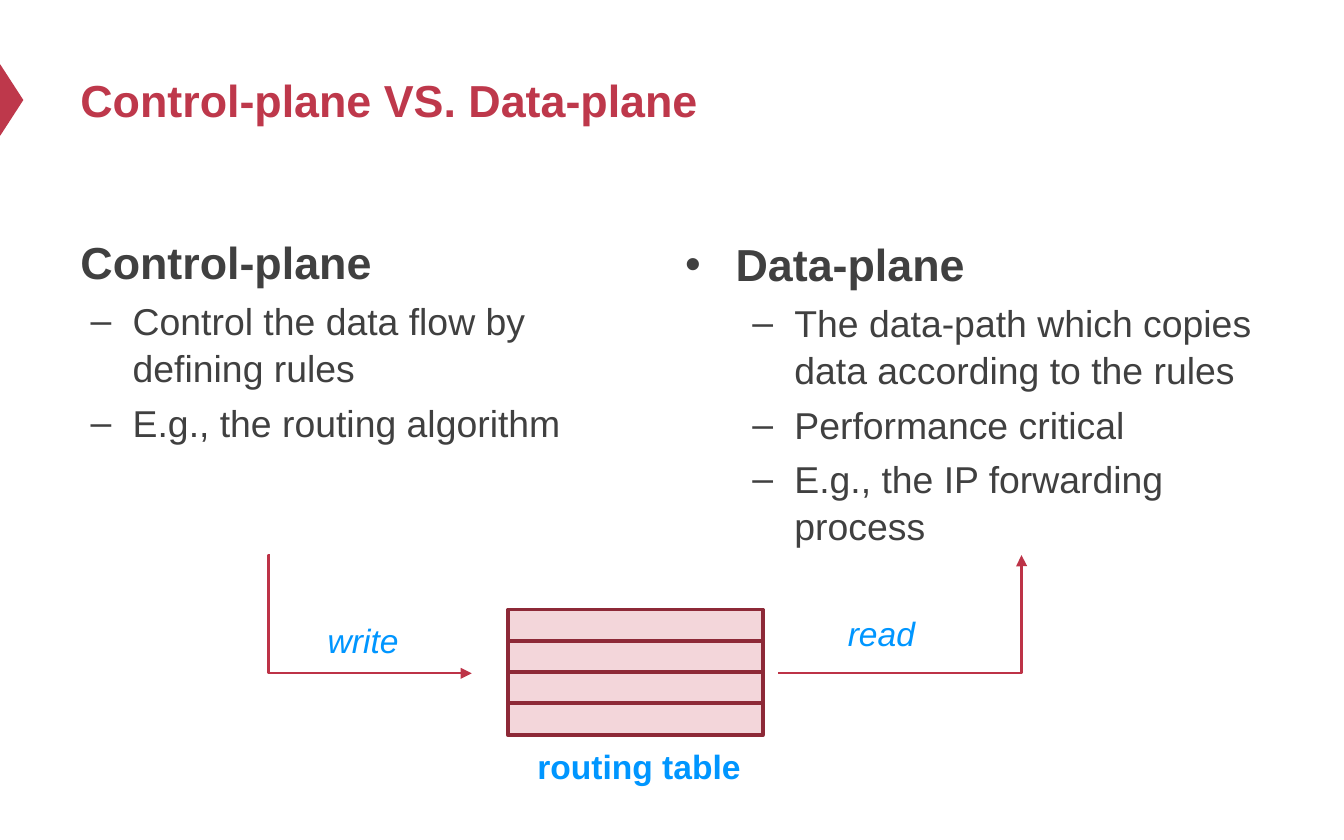
from lxml.etree import SubElement
from pptx import Presentation
from pptx.dml.color import RGBColor
from pptx.enum.shapes import MSO_CONNECTOR, MSO_SHAPE
from pptx.enum.text import MSO_ANCHOR
from pptx.oxml.ns import qn
from pptx.util import Pt

COLORS = {
    "accent": "BE384B",
    "arrow": "BD3347",
    "body": "404040",
    "label": "0096FF",
    "row": "F3D6DA",
    "border": "8D2937",
}


def add_text(left, top, width, height, lines, size, color, wrap=True):
    box = slide.shapes.add_textbox(Pt(left), Pt(top), Pt(width), Pt(height))
    frame = box.text_frame
    frame.word_wrap = wrap
    frame.text = "\n".join(lines)
    for paragraph in frame.paragraphs:
        font = paragraph.runs[0].font
        font.name = "Arial"
        font.size = Pt(size)
        font.color.rgb = RGBColor.from_string(COLORS[color])
    return frame


def add_bullet(paragraph, mark, margin, hanging):
    properties = paragraph._p.get_or_add_pPr()
    properties.set("marL", str(Pt(margin)))
    properties.set("indent", str(Pt(-hanging)))
    SubElement(properties, qn("a:buFont"), typeface="Arial")
    SubElement(properties, qn("a:buChar"), char=mark)


presentation = Presentation()
presentation.slide_width = Pt(720)
presentation.slide_height = Pt(450)
slide = presentation.slides.add_slide(presentation.slide_layouts[6])

marker = slide.shapes.add_shape(
    MSO_SHAPE.ISOSCELES_TRIANGLE, Pt(-12.8), Pt(47.4), Pt(38.2), Pt(12.4)
)
marker.rotation = 90
marker.shadow.inherit = False
marker.fill.solid()
marker.fill.fore_color.rgb = RGBColor.from_string(COLORS["accent"])
marker.line.fill.background()

title = add_text(36, 18, 648, 70.6, ["Control-plane VS. Data-plane"], 24, "accent")
title.vertical_anchor = MSO_ANCHOR.MIDDLE
title.paragraphs[0].runs[0].font.bold = True

planes = [
    (36, 121, 284.4, 28, None,
     ["Control-plane",
      "Control the data flow by defining rules",
      "E.g., the routing algorithm"]),
    (360, 122, 324, 58.5, "•",
     ["Data-plane",
      "The data-path which copies data according to the rules",
      "Performance critical",
      "E.g., the IP forwarding process"]),
]
for left, top, width, margin, heading_mark, lines in planes:
    plane = add_text(left, top, width, 324, lines, 20, "body")
    heading, *points = plane.paragraphs
    heading.line_spacing = 1.05
    if heading_mark:
        add_bullet(heading, heading_mark, 27, 27)
    heading.runs[0].font.size = Pt(24)
    heading.runs[0].font.bold = True
    for point in points:
        point.level = 1
        point.line_spacing = 1.05
        point.space_before = Pt(4)
        add_bullet(point, "–", margin, 22.5)

for index in range(4):
    row = slide.shapes.add_shape(
        MSO_SHAPE.RECTANGLE, Pt(272.2), Pt(326.6 + 16.7 * index), Pt(136.4), Pt(17.3)
    )
    row.shadow.inherit = False
    row.fill.solid()
    row.fill.fore_color.rgb = RGBColor.from_string(COLORS["row"])
    row.line.color.rgb = RGBColor.from_string(COLORS["border"])
    row.line.width = Pt(2)

flows = [
    (144.4, 297.4, 252.7, 360.7, -600),
    (416.9, 360.7, 547.2, 297.4, 100100),
]
for start_x, start_y, end_x, end_y, bend in flows:
    flow = slide.shapes.add_connector(
        MSO_CONNECTOR.ELBOW, Pt(start_x), Pt(start_y), Pt(end_x), Pt(end_y)
    )
    flow.line.color.rgb = RGBColor.from_string(COLORS["arrow"])
    flow.line.width = Pt(1.25)
    SubElement(flow.line._get_or_add_ln(), qn("a:tailEnd"), type="triangle")
    properties = flow._element.spPr
    SubElement(properties, qn("a:effectLst"))
    guides = properties.find(qn("a:prstGeom")).get_or_add_avLst()
    SubElement(guides, qn("a:gd"), name="adj1", fmla=f"val {bend}")

labels = [
    ("write", 168.5, 328.3, 52.6, False),
    ("read", 447.1, 324.7, 51.1, False),
    ("routing table", 280.8, 396, 124.6, True),
]
for caption, left, top, width, is_bold in labels:
    label = add_text(left, top, width, 28.8, [caption], 18, "label", wrap=False)
    font = label.paragraphs[0].runs[0].font
    font.bold = is_bold
    font.italic = not is_bold

presentation.save("out.pptx")
